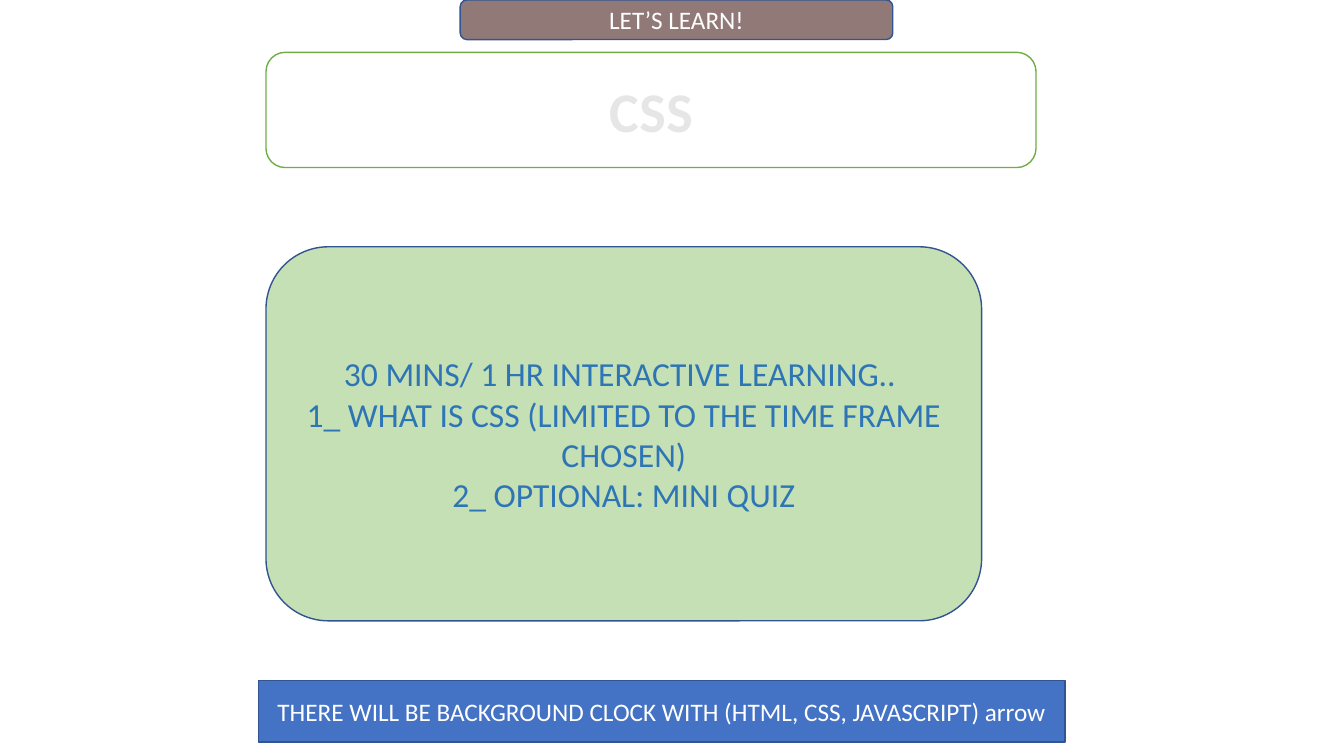
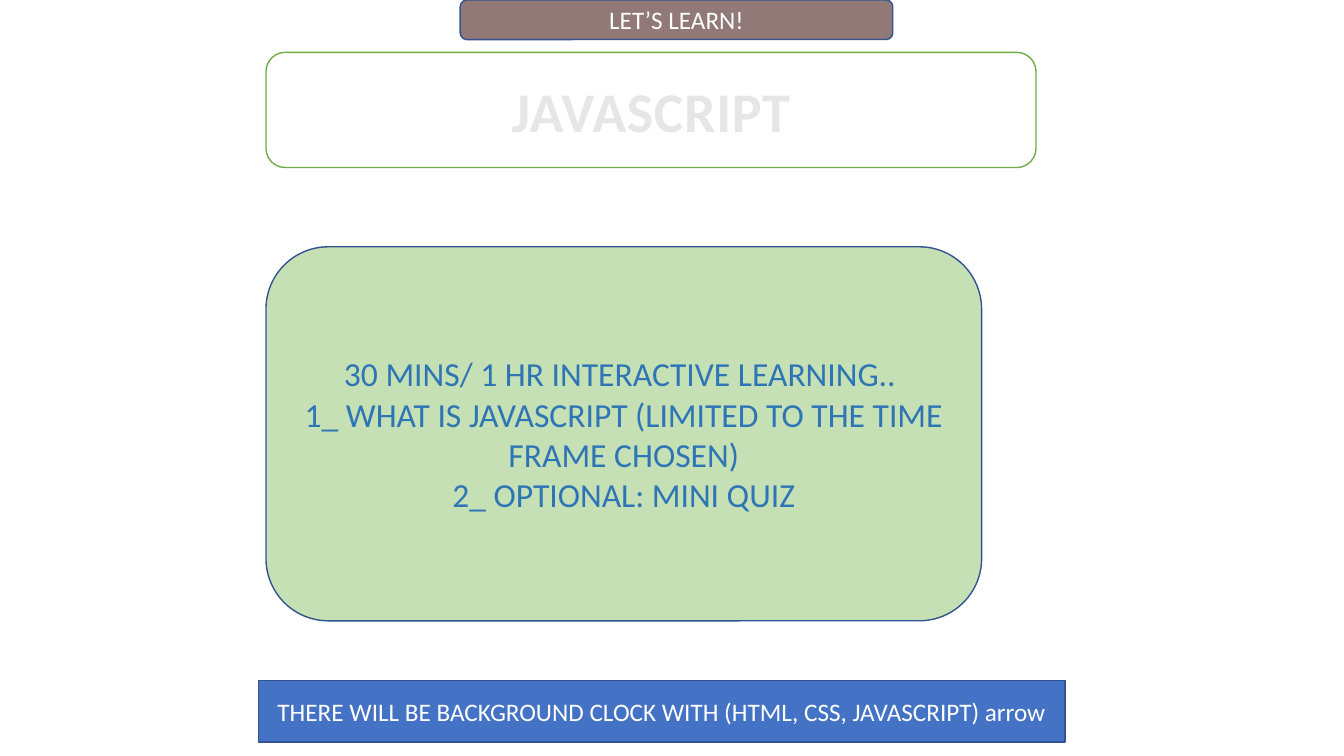
"""Build two lesson-plan slides, one per topic."""
import pptx
import pptx.util
import pptx.dml.color
import pptx.enum.shapes
import pptx.enum.text

Pt = pptx.util.Pt
KIND = pptx.enum.shapes.MSO_SHAPE

TOPICS = ["CSS", "JAVASCRIPT"]
BANNER = "LET’S LEARN!"
PLAN = [
    "30 MINS/ 1 HR INTERACTIVE LEARNING.. ",
    "1_ WHAT IS {topic} (LIMITED TO THE TIME FRAME CHOSEN)",
    "2_ OPTIONAL: MINI QUIZ",
]
FOOTER = "THERE WILL BE BACKGROUND CLOCK WITH (HTML, CSS, JAVASCRIPT) arrow"

FONT = "Calibri"
COLORS = {
    "white": "FFFFFF",
    "gray": "E7E6E6",
    "green": "70AD47",
    "pale": "C5E0B4",
    "brown": "917977",
    "blue": "4472C4",
    "navy": "325491",
    "ink": "2E75B6",
}
ROUND, RECT = KIND.ROUNDED_RECTANGLE, KIND.RECTANGLE
PANELS = {
    "title": (ROUND, (190, 37.4, 550, 82.3), "white", "green", "gray", 40),
    "banner": (ROUND, (328.7, 0, 309, 28.3), "brown", "navy", "white", 18),
    "plan": (ROUND, (190, 176.3, 511.2, 267.2), "pale", "navy", "ink", 24),
    "footer": (RECT, (184.7, 486, 576, 44), "blue", "navy", "white", 18),
}


def color(name):
    return pptx.dml.color.RGBColor.from_string(COLORS[name])


def panel(slide, name, lines):
    kind, box, fill, edge, ink, size = PANELS[name]
    shape = slide.shapes.add_shape(kind, *map(Pt, box))
    shape.shadow.inherit = False
    shape.fill.solid()
    shape.fill.fore_color.rgb = color(fill)
    shape.line.color.rgb = color(edge)
    shape.line.width = Pt(1)
    frame = shape.text_frame
    frame.word_wrap = True
    frame.vertical_anchor = pptx.enum.text.MSO_ANCHOR.MIDDLE
    frame.text = "\n".join(lines)
    for para in frame.paragraphs:
        para.alignment = pptx.enum.text.PP_ALIGN.CENTER
        for run in para.runs:
            run.font.name = FONT
            run.font.size = Pt(size)
            run.font.color.rgb = color(ink)
            if name == "title":
                run.font.bold = True
                run._r.get_or_add_rPr().set("spc", "50")


def main():
    deck = pptx.Presentation()
    deck.slide_width, deck.slide_height = Pt(960), Pt(540)
    for topic in TOPICS:
        slide = deck.slides.add_slide(deck.slide_layouts[6])
        panel(slide, "title", [topic])
        panel(slide, "banner", [BANNER])
        panel(slide, "plan", [line.format(topic=topic) for line in PLAN])
        panel(slide, "footer", [FOOTER])
    deck.save("out.pptx")


if __name__ == "__main__":
    main()
